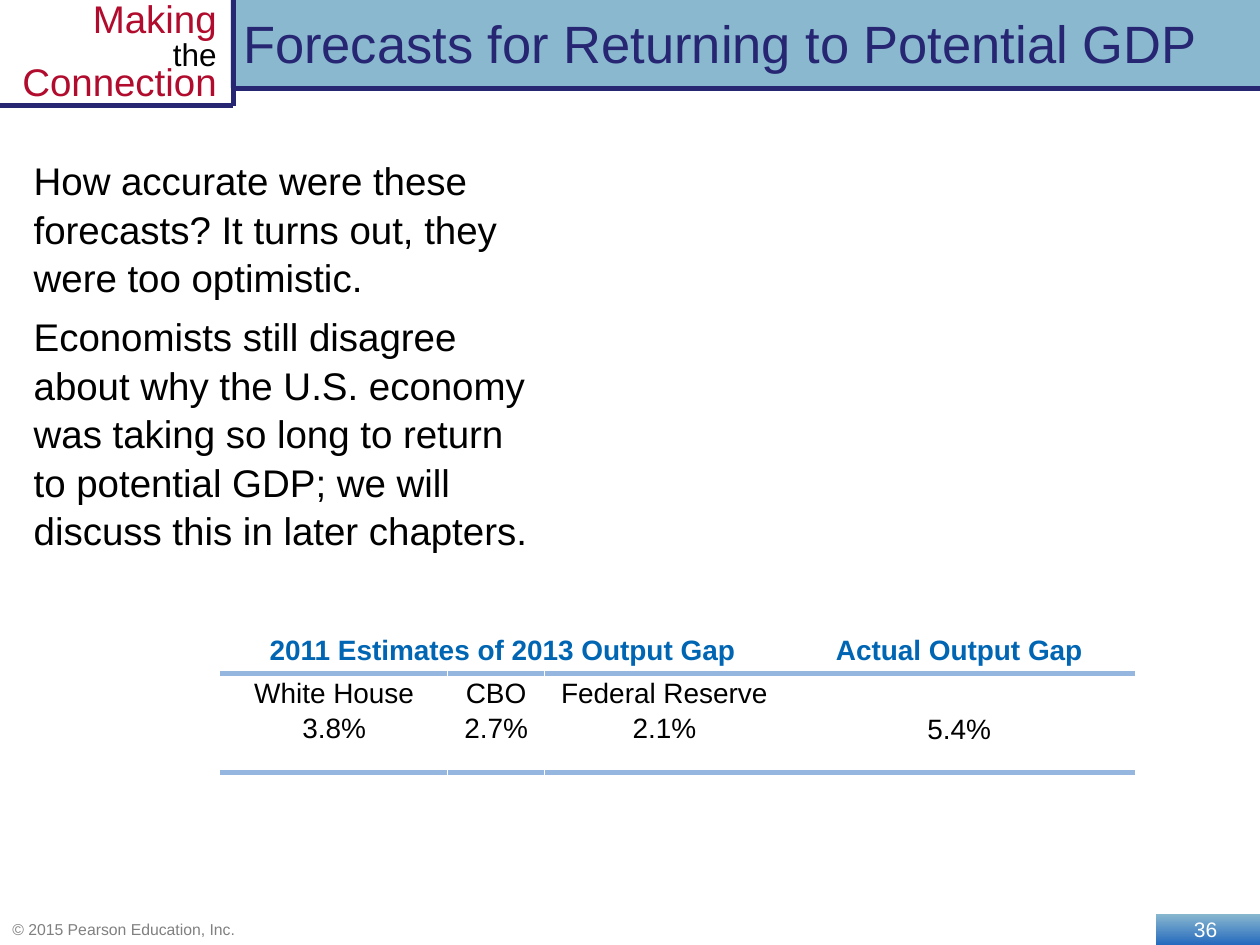
from lxml.etree import SubElement
from pptx import Presentation
from pptx.dml.color import RGBColor
from pptx.enum.shapes import MSO_CONNECTOR, MSO_SHAPE
from pptx.enum.text import MSO_ANCHOR, PP_ALIGN
from pptx.oxml.ns import qn
from pptx.util import Cm, Pt

COLORS = {"sky": "89B8CF", "blue": "256ABD", "navy": "262673", "red": "B10C2D",
          "heading": "0066B3", "rule": "95B6DF", "gray": "808080",
          "black": "000000", "white": "FFFFFF"}
FONT = "Arial"


def rgb(name):
    return RGBColor.from_string(COLORS[name])


def set_font(font, size, color, bold=False):
    font.name, font.size, font.bold = FONT, Pt(size), bold
    font.color.rgb = rgb(color)


def add_rectangle(slide, left, top, width, height):
    rectangle = slide.shapes.add_shape(
        MSO_SHAPE.RECTANGLE, Cm(left), Cm(top), Cm(width), Cm(height))
    rectangle.shadow.inherit = False
    rectangle.line.fill.background()
    return rectangle


def add_filled(slide, color, *box):
    rectangle = add_rectangle(slide, *box)
    rectangle.fill.solid()
    rectangle.fill.fore_color.rgb = rgb(color)
    return rectangle


def add_rule(slide, *ends):
    rule = slide.shapes.add_connector(MSO_CONNECTOR.STRAIGHT, *map(Cm, ends))
    rule.line.color.rgb = rgb("navy")
    rule.line.width = Pt(3)
    SubElement(rule._element.spPr, qn("a:effectLst"))


def add_text(slide, paragraphs, size, color, *box):
    frame = slide.shapes.add_textbox(*map(Cm, box)).text_frame
    frame.word_wrap = True
    frame.text = "\n".join(paragraphs)
    for paragraph in frame.paragraphs:
        set_font(paragraph.font, size, color)
    return frame


def add_banner(slide, left, top, width, height):
    split, bar_height = left + 4.7, 1.78
    right, bottom = left + width, top + height
    title_box = (split - 0.05, top, right - split + 0.05, bar_height)
    add_filled(slide, "sky", *title_box)
    add_rule(slide, split, top + bar_height, right, top + bar_height)

    series = add_filled(slide, "white", left, top + 0.08, 4.62, 1.75).text_frame
    series.vertical_anchor = MSO_ANCHOR.TOP
    line = series.paragraphs[0]
    line.alignment, line.line_spacing = PP_ALIGN.RIGHT, Pt(18)
    words = [("Making", 22, "red"), ("the", 18, "black"), ("Connection", 22, "red")]
    for index, (word, size, color) in enumerate(words):
        if index:
            line.add_line_break()
        run = line.add_run()
        run.text = word
        set_font(run.font, size, color)

    add_rule(slide, split, top, split, bottom)
    add_rule(slide, left, bottom, split, bottom)
    title = add_text(slide, ["Forecasts for Returning to Potential GDP"], 30, "navy",
                     *title_box)
    title.margin_top = Cm(0.23)


def add_body(slide, *box):
    body = add_text(slide, [
        "How accurate were these forecasts? It turns out, they were too optimistic.",
        "Economists still disagree about why the U.S. economy was taking so long to "
        "return to potential GDP; we will discuss this in later chapters.",
    ], 22, "black", *box)
    for paragraph in body.paragraphs:
        paragraph.line_spacing = 1.05
    body.paragraphs[1].space_before = Pt(6)


def add_border(cell, side):
    border = SubElement(cell._tc.get_or_add_tcPr(), qn(f"a:{side}"), w=str(Pt(3)))
    fill = SubElement(border, qn("a:solidFill"))
    SubElement(fill, qn("a:srgbClr"), val=COLORS["rule"])


def add_gap_table(slide, left, top, width, height):
    header = ["2011 Estimates of 2013 Output Gap", "", "", "Actual Output Gap"]
    estimates = ["White House\n3.8%", "CBO\n2.7%", "Federal Reserve\n2.1%", "5.4%"]
    shares = [1.8, 0.77, 1.9, 2.78]
    header_height = 0.86
    table = slide.shapes.add_table(
        2, len(shares), Cm(left), Cm(top), Cm(width), Cm(height)).table
    table.first_row = table.horz_banding = False
    table.rows[0].height = Cm(header_height)
    table.rows[1].height = Cm(height - header_height)
    for column, share in zip(table.columns, shares):
        column.width = Cm(width * share / sum(shares))

    for row, texts in enumerate([header, estimates]):
        for column, text in enumerate(texts):
            cell = table.cell(row, column)
            cell.margin_top = cell.margin_bottom = Cm(0.1)
            if row:
                add_border(cell, "lnT")
            add_border(cell, "lnB")
            cell.fill.background()
            cell.text = text
            for index, paragraph in enumerate(cell.text_frame.paragraphs):
                paragraph.alignment = PP_ALIGN.CENTER
                paragraph.space_before = Pt(2 if index else 0)
                set_font(paragraph.font, 16, "black" if row else "heading", not row)
    table.cell(0, 0).merge(table.cell(0, 2))
    table.cell(1, 3).margin_top = Cm(0.82)  # level with the other percentages


def add_footer(slide, left, top, width, height):
    number_width = 2.1
    badge = add_rectangle(slide, left + width - number_width, top, number_width, height)
    badge.fill.gradient()
    badge.fill.gradient_angle = 270
    for stop, color in zip(badge.fill.gradient_stops, ["sky", "blue"]):
        stop.color.rgb = rgb(color)
    number = badge.text_frame
    number.text = "36"
    number.margin_right = Cm(0.86)
    number.margin_top = number.margin_bottom = 0
    number.vertical_anchor = MSO_ANCHOR.MIDDLE
    number.paragraphs[0].alignment = PP_ALIGN.RIGHT
    set_font(number.paragraphs[0].font, 12, "white")

    notice = add_text(slide, ["© 2015 Pearson Education, Inc."], 9, "gray",
                      left, top, width - number_width, height)
    notice.vertical_anchor = MSO_ANCHOR.MIDDLE


def main():
    presentation = Presentation()
    presentation.slide_width, presentation.slide_height = Cm(25.4), Cm(19.05)
    slide = presentation.slides.add_slide(presentation.slide_layouts[6])
    add_footer(slide, 0, 18.42, 25.4, 0.63)
    add_banner(slide, 0, 0, 25.4, 2.13)
    add_body(slide, 0.43, 3, 10.6, 8.43)
    add_gap_table(slide, 4.45, 12.7, 18.42, 2.85)
    presentation.save("out.pptx")


if __name__ == "__main__":
    main()
